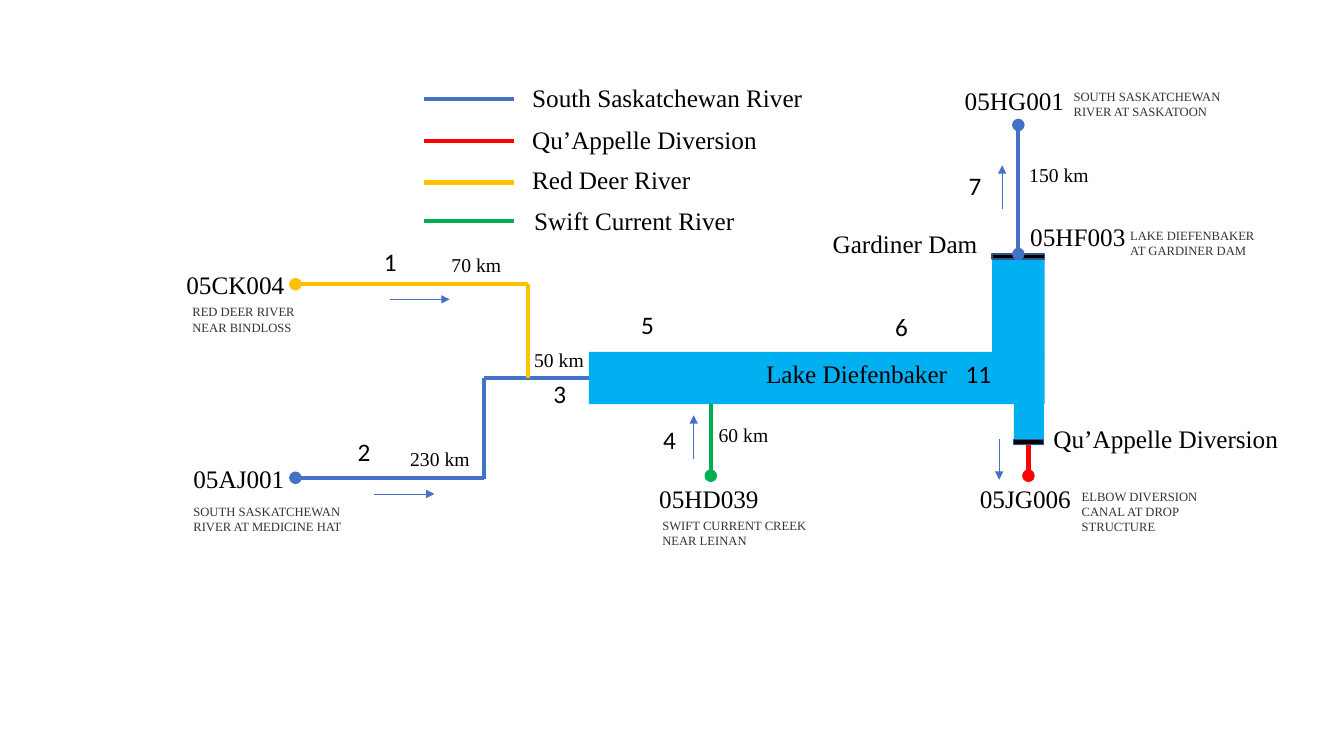
from pptx import Presentation
from pptx.dml.color import RGBColor
from pptx.enum.shapes import MSO_CONNECTOR as Link, MSO_SHAPE as Shape
from pptx.enum.text import MSO_AUTO_SIZE as Fit
from pptx.oxml.ns import qn
from pptx.util import Pt
from lxml.etree import SubElement

SCALE = 9144
SERIF = "Times New Roman"
BLUE, GOLD, GREEN, RED = "4472C4", "FFC000", "00B050", "FF0000"
LAKE, BLACK, GRAY = "00B0F0", "000000", "333333"

KEYS = [
    ("South Saskatchewan River", BLUE, 98, 518, 77, 302),
    ("Qu’Appelle Diversion", RED, 140, 518, 118, 254),
    ("Red Deer River", GOLD, 181, 518, 158, 194),
    ("Swift Current River", GREEN, 219, 520, 199, 252),
]
NAMES = [
    ("05CK004", 175, 262, 147), ("05AJ001", 182, 455, 147),
    ("05HD039", 644, 475, 147), ("05JG006", 962, 475, 129),
    ("05HG001", 947, 80, 127), ("05HF003", 1012, 215, 147),
    ("Lake Diefenbaker", 750, 351, 212), ("Gardiner Dam", 816, 222, 165),
    ("Qu’Appelle Diversion", 1035, 415, 254),
]
SPANS = [
    ("70 km", 438, 246), ("230 km", 397, 438), ("50 km", 520, 340),
    ("60 km", 703, 415), ("150 km", 1011, 157),
]
NOTES = [
    (["SWIFT CURRENT CREEK NEAR LEINAN"], 647, 509, 172, 40, True),
    (["SOUTH SASKATCHEWAN", "RIVER AT SASKATOON"], 1055, 83, 188, 40, True),
    (["LAKE DIEFENBAKER", "AT GARDINER DAM"], 1111, 221, 145, 40, False),
    (["ELBOW DIVERSION", "CANAL AT DROP", "STRUCTURE"],
     1063, 480, 136, 56, False),
    (["RED DEER RIVER", "NEAR BINDLOSS"], 181, 297, 123, 40, False),
    (["SOUTH SASKATCHEWAN", "RIVER AT MEDICINE HAT"],
     182, 495, 177, 40, True),
]
FLOWS = [
    (387, 297, 446, 297), (371, 490, 431, 490), (688, 455, 688, 412),
    (994, 207, 994, 164), (991, 436, 991, 476),
]
REACHES = [
    ("1", 371, 239, 40), ("2", 345, 428, 40), ("3", 539, 370, 40),
    ("4", 648, 416, 40), ("7", 951, 164, 40), ("5", 626, 302, 40),
    ("6", 878, 304, 40), ("11", 948, 351, 114),
]


def px(*nums):
    """Turn pixel lengths into EMU."""
    return [num * SCALE for num in nums]


def paint(hue):
    """Give the colour for a hex string."""
    return RGBColor.from_string(hue)


def add_box(slide, box, hue, turn=0, edge=None):
    """Draw a filled rectangle."""
    rect = slide.shapes.add_shape(Shape.RECTANGLE, *px(*box))
    rect.shadow.inherit = False
    rect.rotation = turn
    rect.fill.solid()
    rect.fill.fore_color.rgb = paint(hue)
    if edge:
        rect.line.color.rgb = paint(edge)
        rect.line.width = Pt(1)
    else:
        rect.line.fill.background()
    return rect


def add_line(slide, ends, hue, width=3, head=None, tail=None):
    """Draw a straight line with optional end marks."""
    line = slide.shapes.add_connector(Link.STRAIGHT, *px(*ends))
    line.line.color.rgb = paint(hue)
    line.line.width = Pt(width)
    props = line._element.spPr
    for tag, mark in (("a:headEnd", head), ("a:tailEnd", tail)):
        if mark:
            SubElement(props.find(qn("a:ln")), qn(tag), type=mark)
    SubElement(props, qn("a:effectLst"))
    return line


def add_text(slide, rows, box, size=18, font=SERIF, hue=BLACK, wrap=True):
    """Place a text box with one paragraph per row."""
    frame = slide.shapes.add_textbox(*px(*box)).text_frame
    frame.word_wrap = wrap
    frame.auto_size = Fit.SHAPE_TO_FIT_TEXT
    frame.text = "\n".join(rows)
    for para in frame.paragraphs:
        para.font.size = Pt(size)
        para.font.name = font
        para.font.color.rgb = paint(hue)


def add_map(slide):
    """Draw the lake, its dams and the rivers."""
    lake = add_box(slide, (584, 349, 452, 52), LAKE)
    add_box(slide, (961, 275, 98, 52), LAKE, 270)
    add_box(slide, (1000, 406, 41, 30), LAKE, 270)
    dam = add_box(slide, (984, 252, 52, 5), BLACK, edge="325491")
    gate = add_box(slide, (1005, 436, 30, 5), BLACK, edge="325491")

    add_line(slide, (293, 474, 480, 474), BLUE, head="oval")
    add_line(slide, (480, 375, 480, 475), BLUE)
    inlet = add_line(slide, (480, 375, 584, 375), BLUE)
    inlet.end_connect(lake, 1)
    add_line(slide, (293, 282, 524, 282), GOLD, head="oval")
    add_line(slide, (524, 375, 524, 282), GOLD)
    add_line(slide, (705, 472, 705, 401), GREEN, head="oval")
    canal = add_line(slide, (1020, 472, 1020, 441), RED, head="oval")
    canal.end_connect(gate, 2)
    outlet = add_line(slide, (1010, 124, 1010, 252), BLUE,
                      head="oval", tail="oval")
    outlet.end_connect(dam, 0)
    for ends in FLOWS:
        add_line(slide, ends, BLUE, 0.5, tail="triangle")


def add_key(slide):
    """Draw the legend of rivers."""
    for name, hue, mid, left, top, width in KEYS:
        add_line(slide, (421, mid, 510, mid), hue)
        add_text(slide, [name], (left, top, width, 40))


def add_labels(slide):
    """Write the names, distances, notes and reach numbers."""
    for name, left, top, width in NAMES:
        add_text(slide, [name], (left, top, width, 40))
    for span, left, top in SPANS:
        add_text(slide, [span], (left, top, 104, 34), 14)
    for rows, left, top, width, height, wrap in NOTES:
        add_text(slide, rows, (left, top, width, height), 9,
                 hue=GRAY, wrap=wrap)
    for reach, left, top, width in REACHES:
        add_text(slide, [reach], (left, top, width, 40), font="Calibri")


def main():
    """Build and save the river diagram."""
    deck = Presentation()
    deck.slide_width, deck.slide_height = px(1333, 750)
    slide = deck.slides.add_slide(deck.slide_layouts[6])
    add_map(slide)
    add_key(slide)
    add_labels(slide)
    deck.save("out.pptx")


if __name__ == "__main__":
    main()
